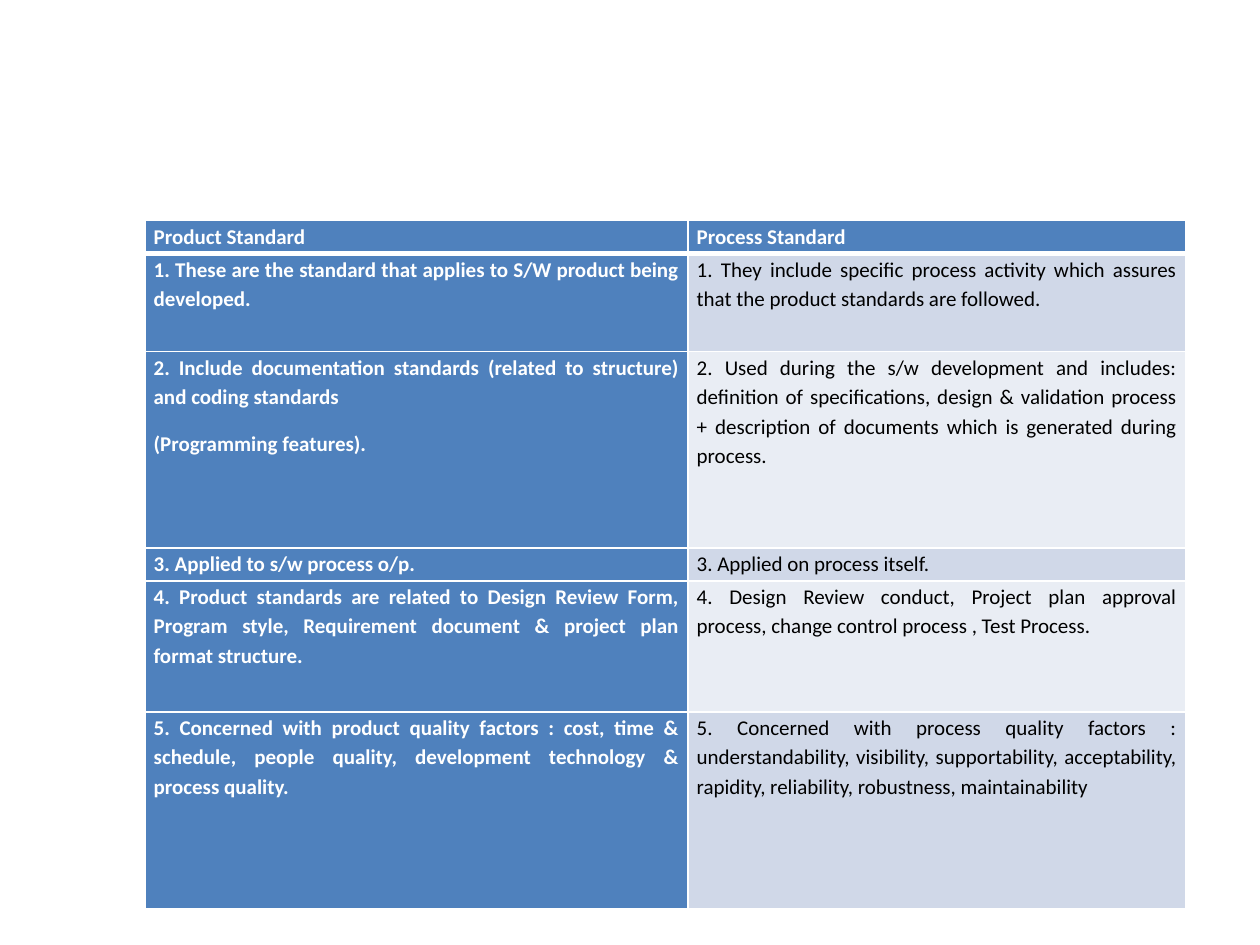
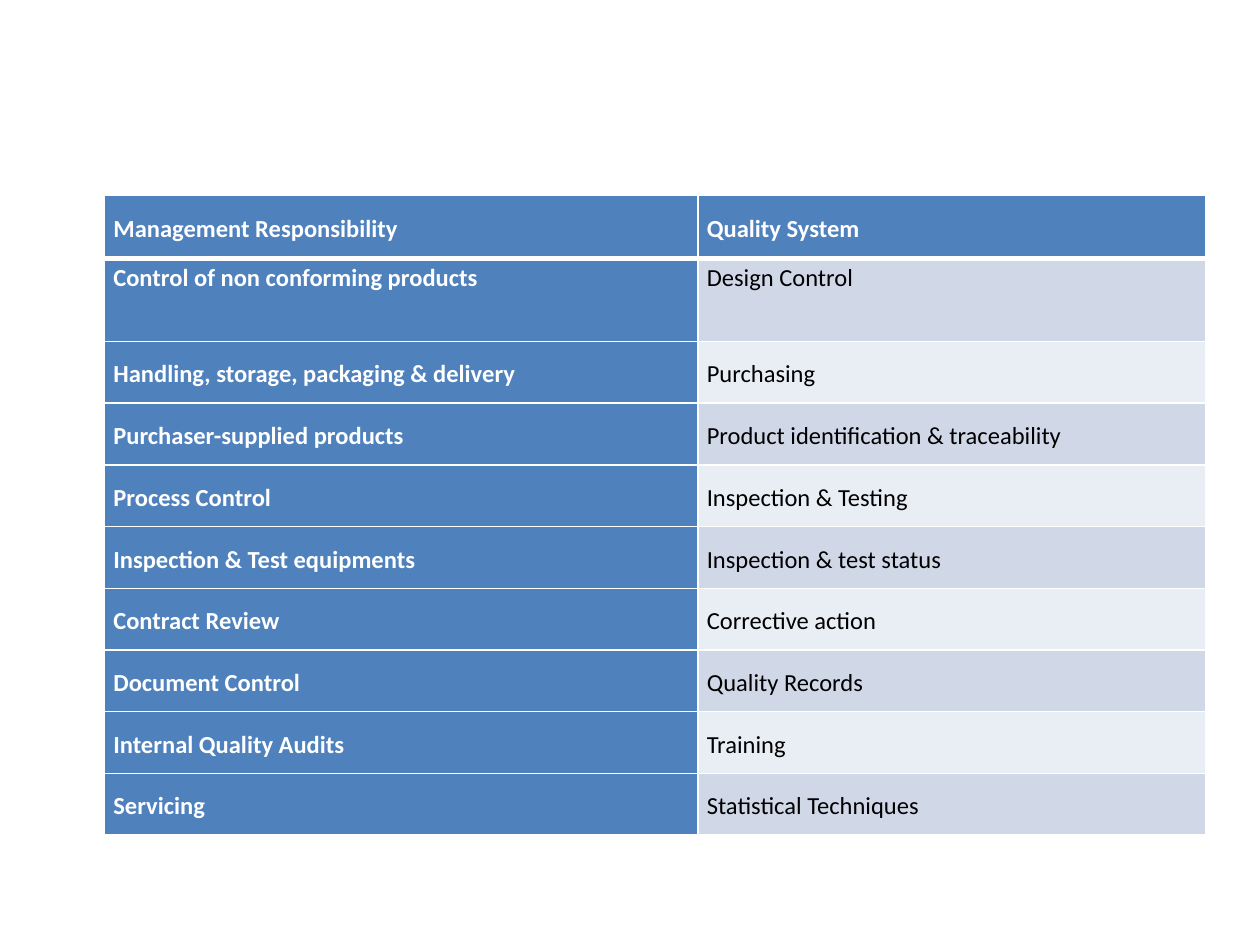
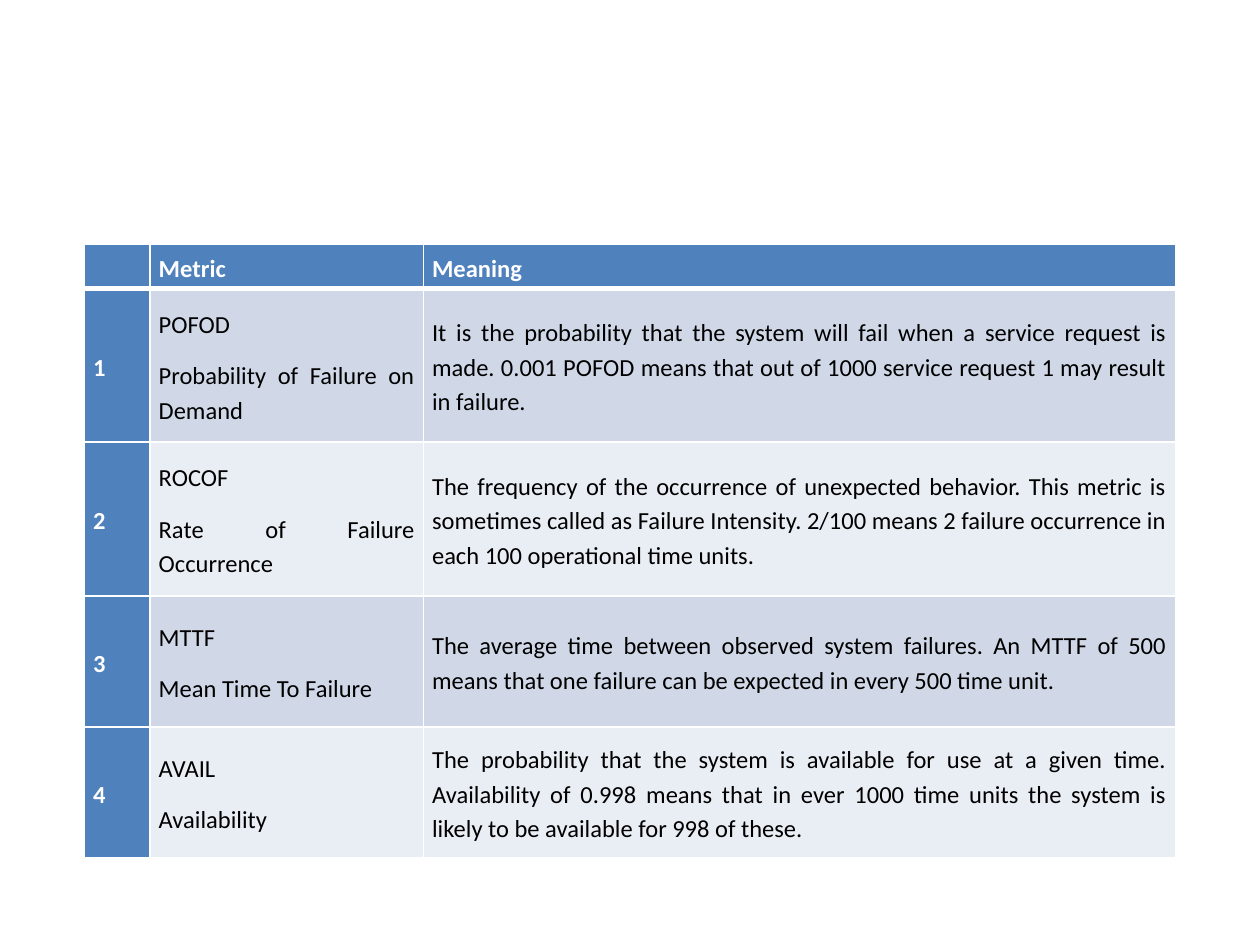
from dataclasses import dataclass

from lxml.etree import SubElement as Sub
from pptx import Presentation
from pptx.dml.color import RGBColor as RGB
from pptx.enum.text import MSO_ANCHOR as Anchor, PP_ALIGN as Align
from pptx.oxml.ns import qn
from pptx.util import Inches, Pt


@dataclass(frozen=True)
class Theme:
    head: RGB = RGB.from_string("4F81BD")
    odd: RGB = RGB.from_string("D0D8E8")
    even: RGB = RGB.from_string("E9EDF4")
    white: RGB = RGB.from_string("FFFFFF")
    black: RGB = RGB.from_string("000000")
    face: str = "Calibri"
    small: int = 12
    large: int = 14
    rule: int = 1
    thick: int = 3


THEME = Theme()
PARA = {"alignment": Align.JUSTIFY, "line_spacing": 1.15, "space_after": Pt(10)}
PAD = {"margin_left": Inches(0.07), "margin_right": Inches(0.07),
       "margin_top": 0, "margin_bottom": 0}

# Table text: a tuple holds the paragraphs of one cell
STANDARDS = [
    ("Product Standard", "Process Standard"),
    ("1. These are the standard that applies to S/W product being developed.",
     "1. They include specific process activity which assures that the product "
     "standards are followed."),
    (("2. Include documentation standards (related to structure) and coding standards",
      "(Programming features)."),
     "2. Used during the s/w development and includes: definition of specifications, "
     "design & validation process + description of documents which is generated "
     "during process."),
    ("3. Applied to s/w process o/p.", "3. Applied on process itself."),
    ("4. Product standards are related to Design Review Form, Program style, "
     "Requirement document & project plan format structure.",
     "4. Design Review conduct, Project plan approval process, change control "
     "process , Test Process."),
    ("5. Concerned with product quality factors : cost, time & schedule, people "
     "quality, development technology & process quality.",
     "5. Concerned with process quality factors : understandability, visibility, "
     "supportability, acceptability, rapidity, reliability, robustness, "
     "maintainability"),
]
QUALITY = [
    ("Management Responsibility", "Quality System"),
    ("Control of non conforming products", "Design Control"),
    ("Handling, storage, packaging & delivery", "Purchasing"),
    ("Purchaser-supplied products", "Product identification & traceability"),
    ("Process Control", "Inspection & Testing"),
    ("Inspection & Test equipments", "Inspection & test status"),
    ("Contract Review", "Corrective action"),
    ("Document Control", "Quality Records"),
    ("Internal Quality Audits", "Training"),
    ("Servicing", "Statistical Techniques"),
]
METRICS = [
    ("", "Metric", "Meaning"),
    ("1", ("POFOD", "Probability of Failure on Demand"),
     "It is the probability that the system will fail when a service request is made. "
     "0.001 POFOD means that out of 1000 service request 1 may result in failure."),
    ("2", ("ROCOF", "Rate of Failure Occurrence"),
     "The frequency of the occurrence of unexpected behavior. This metric is sometimes "
     "called as Failure Intensity. 2/100 means 2 failure occurrence in each 100 "
     "operational time units."),
    ("3", ("MTTF", "Mean Time To Failure"),
     "The average time between observed system failures. An MTTF of 500 means that one "
     "failure can be expected in every 500 time unit."),
    ("4", ("AVAIL", "Availability"),
     "The probability that the system is available for use at a given time. Availability "
     "of 0.998 means that in ever 1000 time units the system is likely to be available "
     "for 998 of these."),
]


def put(obj, props):
    for name, value in props.items():
        setattr(obj, name, value)


def edge(cell, row):
    """Draw white borders, thick between the header and the body."""
    props = cell._tc.get_or_add_tcPr()
    thick = {(0, "lnB"), (1, "lnT")}
    for pos, tag in enumerate(("lnL", "lnR", "lnT", "lnB")):
        width = THEME.thick if (row, tag) in thick else THEME.rule
        line = Sub(props, qn(f"a:{tag}"), w=str(Pt(width)))
        Sub(Sub(line, qn("a:solidFill")), qn("a:srgbClr"), val=str(THEME.white))
        props.insert(pos, line)


def write(cell, text, size, strong):
    """Fill a cell with one run for each paragraph."""
    font = {"name": THEME.face, "size": Pt(size), "bold": strong}
    parts = (text,) if isinstance(text, str) else text
    for pos, part in enumerate(parts):
        para = cell.text_frame.add_paragraph() if pos else cell.text_frame.paragraphs[0]
        put(para, PARA)
        run = para.add_run()
        run.text = part
        put(run.font, font)
        run.font.color.rgb = THEME.white if strong else THEME.black


def grid(deck, spot, cols, rows, data, size, top=()):
    """Add a slide with one table; rows listed in top start at the cell top."""
    slide = deck.slides.add_slide(deck.slide_layouts[6])
    box = [Inches(n) for n in (*spot, sum(cols), sum(rows))]
    table = slide.shapes.add_table(len(rows), len(cols), *box).table
    table.first_col = True
    for col, width in zip(table.columns, cols):
        col.width = Inches(width)
    for row, height in zip(table.rows, rows):
        row.height = Inches(height)

    # Header row and first column share one look
    for r, line in enumerate(data):
        for c, text in enumerate(line):
            cell = table.cell(r, c)
            strong = r == 0 or c == 0
            put(cell, PAD)
            cell.vertical_anchor = Anchor.TOP if r in top else Anchor.MIDDLE
            cell.fill.solid()
            band = THEME.odd if r % 2 else THEME.even
            cell.fill.fore_color.rgb = THEME.head if strong else band
            edge(cell, r)
            if text:
                write(cell, text, size, strong)


def main():
    deck = Presentation()
    put(deck, {"slide_width": Inches(10), "slide_height": Inches(7.5)})

    # Product and process standards
    grid(deck, (1.15, 1.75), (4.31, 3.95), (0.26, 0.78, 1.56, 0.26, 1.04, 1.56),
         STANDARDS, THEME.small, top=range(6))
    # Quality system elements
    grid(deck, (0.83, 1.55), (4.71, 4.03), (0.5, 0.66, *[0.49] * 8),
         QUALITY, THEME.large, top=(1,))
    # Reliability metrics
    grid(deck, (0.67, 1.94), (0.52, 2.17, 5.97), (0.35, 1.22, 1.22, 1.04, 1.04),
         METRICS, THEME.large)
    deck.save("out.pptx")


if __name__ == "__main__":
    main()
